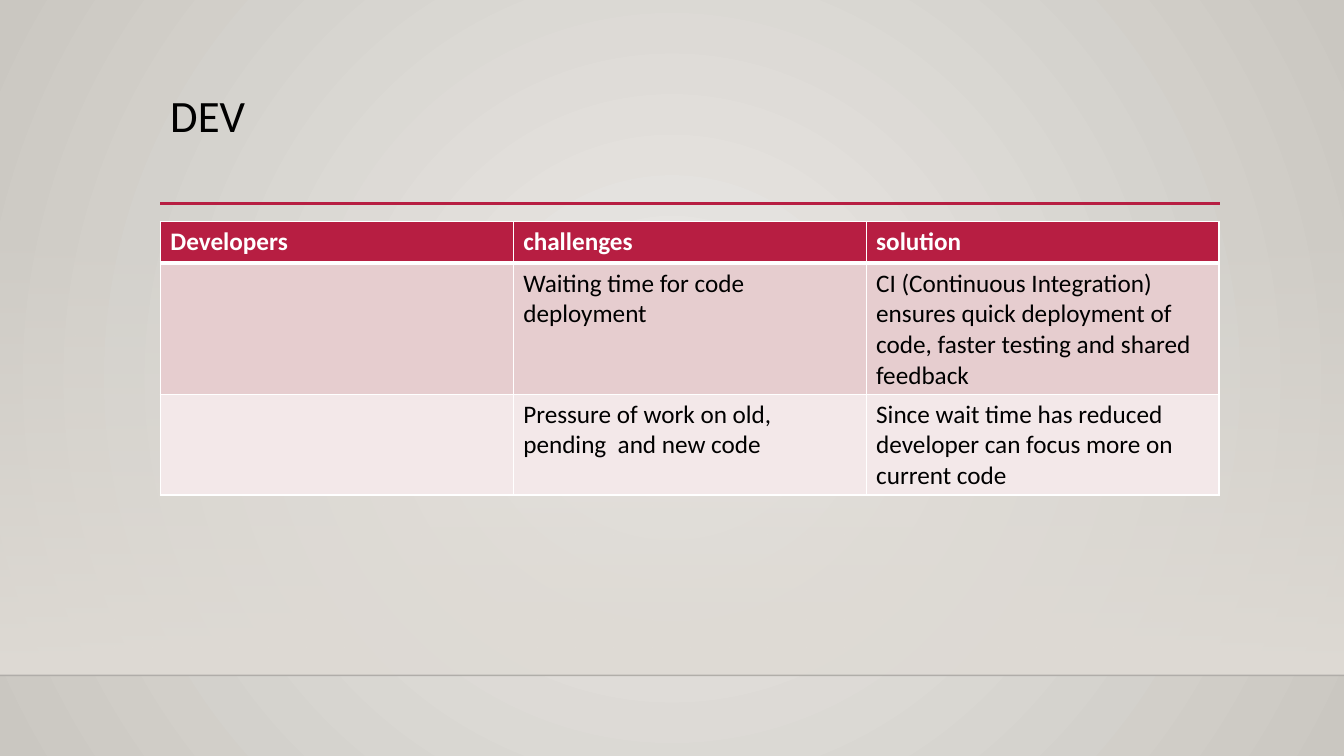
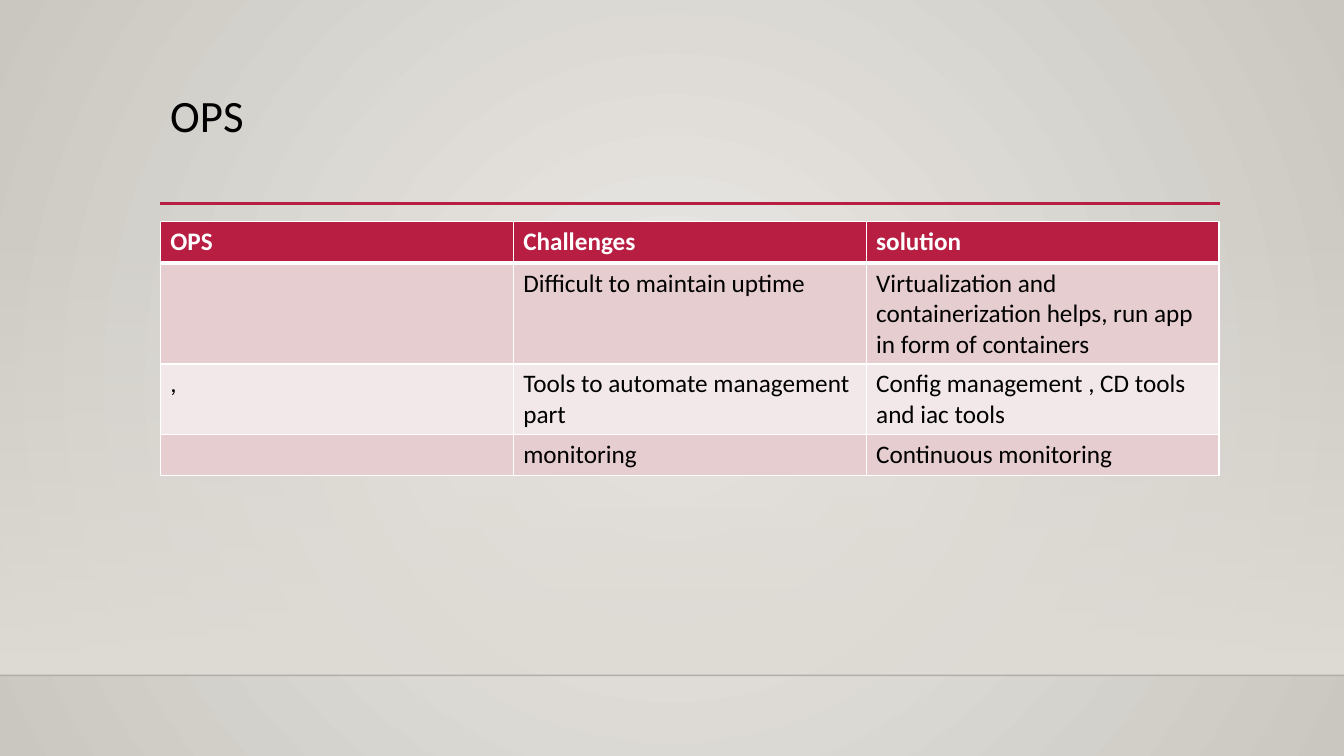
from lxml import etree
from pptx import Presentation
from pptx.dml.color import RGBColor
from pptx.enum.shapes import MSO_CONNECTOR, MSO_SHAPE
from pptx.oxml.ns import qn
from pptx.util import Inches, Pt

RECT = MSO_SHAPE.RECTANGLE
STRAIGHT = MSO_CONNECTOR.STRAIGHT

FONT = "Calibri"
RED, WHITE, BLACK = "B71E42", "FFFFFF", "000000"
BANDS = ["E6CDCF", "F3E8E9"]
LEFT, WIDTH, ROW_H = 1.59, 10.5, 0.41

SLIDES = [
    ("DEV", [
        ["Developers", "challenges", "solution"],
        ["", "Waiting time for code deployment",
         "CI (Continuous Integration) ensures quick deployment of code, "
         "faster testing and shared feedback"],
        ["", "Pressure of work on old, pending  and new code",
         "Since wait time has reduced developer can focus more on current code"],
    ]),
    ("OPS", [
        ["OPS", "Challenges", "solution"],
        ["", "Difficult to maintain uptime",
         "Virtualization and containerization helps, run app in form of containers"],
        [",", "Tools to automate management part",
         "Config management , CD tools and iac tools"],
        ["", "monitoring", "Continuous monitoring"],
    ]),
]


def rgb(value):
    return RGBColor.from_string(value)


def write(tf, text, size=18, color=BLACK, bold=False, spacing=None):
    tf.word_wrap = True
    p = tf.paragraphs[0]
    p.line_spacing = spacing
    p.font.size = Pt(size)
    if text:
        r = p.add_run()
        r.text = text
        r.font.name, r.font.size, r.font.bold = FONT, Pt(size), bold
        r.font.color.rgb = rgb(color)


prs = Presentation()
prs.slide_width, prs.slide_height = Inches(13.33), Inches(7.5)

# Shared background: radial gradient on the master
master = prs.slide_master
fill = master.background.fill
fill.gradient()
for stop, color in zip(fill.gradient_stops, ["ECEAE7", "CAC7C1"]):
    stop.color.rgb = rgb(color)
grad = master.element.find(".//" + qn("p:bg") + "//" + qn("a:gradFill"))
grad.remove(grad.find(qn("a:lin")))
radial = etree.SubElement(grad, qn("a:path"), {"path": "circle"})
etree.SubElement(radial, qn("a:fillToRect"), dict.fromkeys("ltrb", "50000"))

for title, rows in SLIDES:
    s = prs.slides.add_slide(prs.slide_layouts[6])

    # Band that fades in towards the floor line
    sp = s.shapes.add_shape(RECT, 0, Inches(2.21), prs.slide_width, Inches(4.49))
    sp.shadow.inherit = False
    sp.line.fill.background()
    sp.fill.gradient()
    sp.fill.gradient_angle = 270
    for stop in sp.fill.gradient_stops:
        stop.color.rgb = rgb("DFDBD5")
    clear = sp.element.spPr.find(".//" + qn("a:srgbClr"))
    etree.SubElement(clear, qn("a:alpha"), val="0")

    # Floor line and title rule
    for x1, x2, y, color, weight, alpha in [
        (0, 13.33, 6.7, "000001", 1, 20),
        (LEFT, 12.1, 2.02, RED, 2.5, 100),
    ]:
        line = s.shapes.add_connector(STRAIGHT, Inches(x1), Inches(y), Inches(x2), Inches(y))
        line.line.color.rgb = rgb(color)
        line.line.width = Pt(weight)
        spPr = line.element.spPr
        etree.SubElement(spPr.find(".//" + qn("a:srgbClr")), qn("a:alpha"), val=str(alpha * 1000))
        etree.SubElement(spPr, qn("a:effectLst"))

    # Title
    tb = s.shapes.add_textbox(Inches(LEFT), Inches(0.88), Inches(WIDTH), Inches(1.15))
    write(tb.text_frame, title, size=32, spacing=0.9)

    # Table
    table = s.shapes.add_table(len(rows), 3, Inches(LEFT), Inches(2.2),
                               Inches(WIDTH), Inches(ROW_H * len(rows))).table
    for i, row in enumerate(rows):
        table.rows[i].height = Inches(ROW_H)
        header = i == 0
        for j, text in enumerate(row):
            cell = table.cell(i, j)
            write(cell.text_frame, text, color=WHITE if header else BLACK, bold=header)
            tcPr = cell._tc.get_or_add_tcPr()
            for side in "LRTB":
                thick = (header and side == "B") or (i == 1 and side == "T")
                ln = etree.SubElement(tcPr, qn("a:ln" + side), w=str(Pt(3 if thick else 1)))
                solid = etree.SubElement(ln, qn("a:solidFill"))
                etree.SubElement(solid, qn("a:srgbClr"), val=WHITE)
            cell.fill.solid()
            cell.fill.fore_color.rgb = rgb(RED if header else BANDS[(i - 1) % 2])

prs.save("out.pptx")
